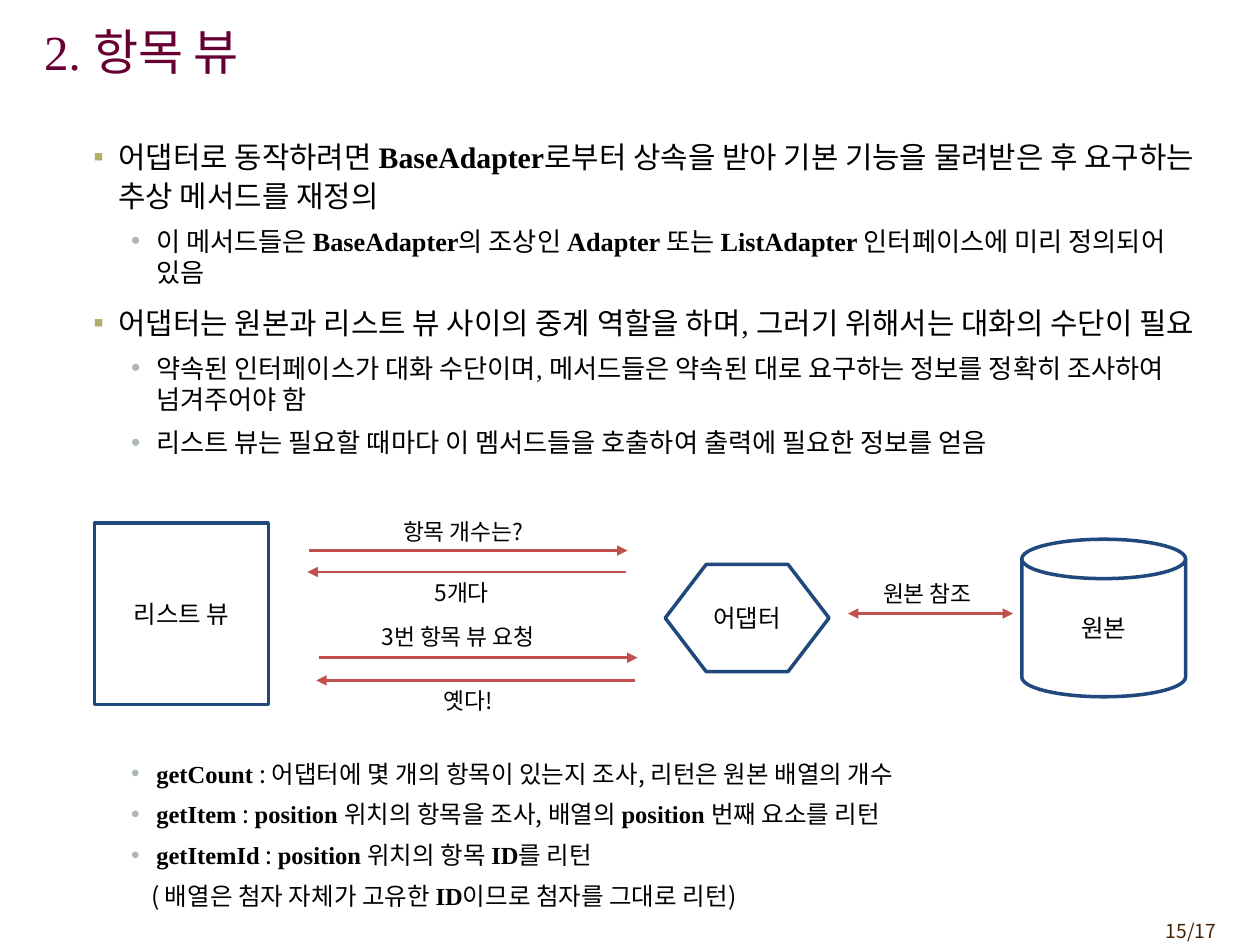
from lxml.etree import SubElement
from pptx import Presentation
from pptx.dml.color import RGBColor
from pptx.enum.shapes import MSO_CONNECTOR as Connector, MSO_SHAPE as Shape
from pptx.enum.text import MSO_ANCHOR as Anchor, MSO_AUTO_SIZE as AutoSize, PP_ALIGN as Align
from pptx.oxml.ns import qn
from pptx.util import Inches, Pt

SERIF, SANS = "Times New Roman", "Noto Sans CJK KR"
BLACK, WHITE, NAVY, RED = "000000", "FFFFFF", "1F497D", "C0504D"

# Per list level: bullet, bullet colour, left margin, line spacing
LEVELS = {1: ("▪", "B1AE6B", 0.59, 1.1), 2: ("•", "ADB9AD", 0.89, 1.0)}

# Each item: level, text size, space before, text with **bold** parts
OVERVIEW = [
    (1, 17, 4.2, "어댑터로 동작하려면 **BaseAdapter**로부터 상속을 받아 기본 기능을 물려받은 후 "
                 "요구하는 추상 메서드를 재정의"),
    (2, 15, 3.7, "이 메서드들은 **BaseAdapter**의 조상인 **Adapter **또는 **ListAdapter **"
                 "인터페이스에 미리 정의되어 있음"),
    (1, 17, 4.2, "어댑터는 원본과 리스트 뷰 사이의 중계 역할을 하며, 그러기 위해서는 대화의 수단이 필요"),
    (2, 15, 3.7, "약속된 인터페이스가 대화 수단이며, 메서드들은 약속된 대로 요구하는 정보를 "
                 "정확히 조사하여 넘겨주어야 함"),
    (2, 15, 3.7, "리스트 뷰는 필요할 때마다 이 멤서드들을 호출하여 출력에 필요한 정보를 얻음"),
]
METHODS = [
    (2, 14, 3.5, "**getCount **: 어댑터에 몇 개의 항목이 있는지 조사, 리턴은 원본 배열의 개수"),
    (2, 14, 3.5, "**getItem** : **position **위치의 항목을 조사, 배열의 **position **번째 요소를 리턴"),
    (2, 14, 3.5, "**getItemId** : **position **위치의 항목 **ID**를 리턴"),
    (None, 14, 3.5, "( 배열은 첨자 자체가 고유한 **ID**이므로 첨자를 그대로 리턴)"),
]


def rgb(color):
    return RGBColor.from_string(color)


def write(paragraph, text, size, font=SANS, color=BLACK, align=Align.LEFT):
    """Add text to a paragraph; parts between ** are bold serif."""
    paragraph.alignment = align
    for index, part in enumerate(text.split("**")):
        if not part:
            continue
        run = paragraph.add_run()
        run.text = part
        bold = index % 2 == 1
        run.font.size, run.font.bold = Pt(size), bold
        run.font.name = SERIF if bold else font
        run.font.color.rgb = rgb(color)
        SubElement(run.font._element, qn("a:ea"), typeface=SANS)


def place(shape, left, top, width, height):
    shape.left, shape.top = Inches(left), Inches(top)
    shape.width, shape.height = Inches(width), Inches(height)


def set_bullet(paragraph, level):
    props = paragraph._p.get_or_add_pPr()
    if level is None:
        props.set("marL", str(Inches(0.85)))
        props.set("indent", "0")
        SubElement(props, qn("a:buNone"))
        return
    mark, color, margin, spacing = LEVELS[level]
    props.set("marL", str(Inches(margin)))
    props.set("indent", str(Inches(-0.2)))
    SubElement(SubElement(props, qn("a:buClr")), qn("a:srgbClr"), val=color)
    SubElement(props, qn("a:buChar"), char=mark)
    paragraph.line_spacing = spacing


def fill_list(body, items, font):
    frame = body.text_frame
    frame.auto_size = AutoSize.NONE
    for index, (level, size, before, text) in enumerate(items):
        paragraph = frame.add_paragraph() if index else frame.paragraphs[0]
        paragraph.level = (level or 2) - 1
        set_bullet(paragraph, level)
        paragraph.space_before = Pt(before if index else 0)
        paragraph.space_after = Pt(3)
        write(paragraph, text, size, font)


def add_node(slide, kind, text, left, top, width, height):
    node = slide.shapes.add_shape(
        kind, Inches(left), Inches(top), Inches(width), Inches(height))
    node.shadow.inherit = False
    node.fill.solid()
    node.fill.fore_color.rgb = rgb(WHITE)
    node.line.color.rgb = rgb(NAVY)
    node.line.width = Pt(2)
    node.text_frame.word_wrap = False
    node.text_frame.vertical_anchor = Anchor.MIDDLE
    write(node.text_frame.paragraphs[0], text, 14, align=Align.CENTER)
    return node


def add_label(slide, text, left, top, width, height=0.32, **style):
    frame = slide.shapes.add_textbox(
        Inches(left), Inches(top), Inches(width), Inches(height)).text_frame
    frame.word_wrap = False
    frame.auto_size = AutoSize.SHAPE_TO_FIT_TEXT
    write(frame.paragraphs[0], text, **{"size": 13, **style})


def add_arrow(slide, start, end, y, both_ways=False):
    arrow = slide.shapes.add_connector(
        Connector.STRAIGHT, Inches(start), Inches(y), Inches(end), Inches(y))
    arrow.line.color.rgb = rgb(RED)
    arrow.line.width = Pt(1.5)
    line = arrow.line._get_or_add_ln()
    for tip in ["headEnd", "tailEnd"] if both_ways else ["tailEnd"]:
        SubElement(line, qn(f"a:{tip}"), type="triangle")
    SubElement(arrow._element.spPr, qn("a:effectLst"))


def main():
    deck = Presentation()
    deck.slide_width, deck.slide_height = Inches(10), Inches(7.5)
    slide = deck.slides.add_slide(deck.slide_layouts[3])
    title, overview, methods = slide.placeholders

    # Title and lists
    place(title, 0.25, 0.09, 8.27, 0.63)
    title.text_frame.auto_size = AutoSize.NONE
    title.text_frame.vertical_anchor = Anchor.MIDDLE
    write(title.text_frame.paragraphs[0], "2. 항목 뷰", 28, SERIF, "660033")
    place(overview, 0.25, 1.02, 9.4, 2.98)
    fill_list(overview, OVERVIEW, SERIF)
    place(methods, 0.25, 5.97, 9.5, 1.4)
    fill_list(methods, METHODS, SANS)

    # List view, adapter and data source
    add_node(slide, Shape.RECTANGLE, "리스트 뷰", 0.75, 4.15, 1.38, 1.44)
    add_node(slide, Shape.CAN, "원본", 8.11, 4.28, 1.3, 1.25)
    adapter = add_node(slide, Shape.HEXAGON, "어댑터", 5.28, 4.48, 1.3, 0.85)
    adapter.adjustments[0] = 0.382

    # Requests, replies and the lookup in the source
    for start, end, y in [(2.45, 4.98, 4.37), (4.97, 2.44, 4.54),
                          (2.53, 5.06, 5.22), (5.04, 2.51, 5.4)]:
        add_arrow(slide, start, end, y)
    add_arrow(slide, 6.73, 8.04, 4.87, both_ways=True)
    for text, left, top, width in [("항목 개수는?", 3.1, 4.06, 1.25),
                                   ("5개다", 3.35, 4.54, 0.69),
                                   ("3번 항목 뷰 요청", 2.93, 4.89, 1.55),
                                   ("옛다!", 3.42, 5.4, 0.65),
                                   ("원본 참조", 6.91, 4.55, 0.95)]:
        add_label(slide, text, left, top, width)

    # Page number
    add_label(slide, "15/17", 8.92, 7.25, 0.83, 0.29,
              size=11, color="452103", align=Align.RIGHT)

    deck.save("out.pptx")


if __name__ == "__main__":
    main()
